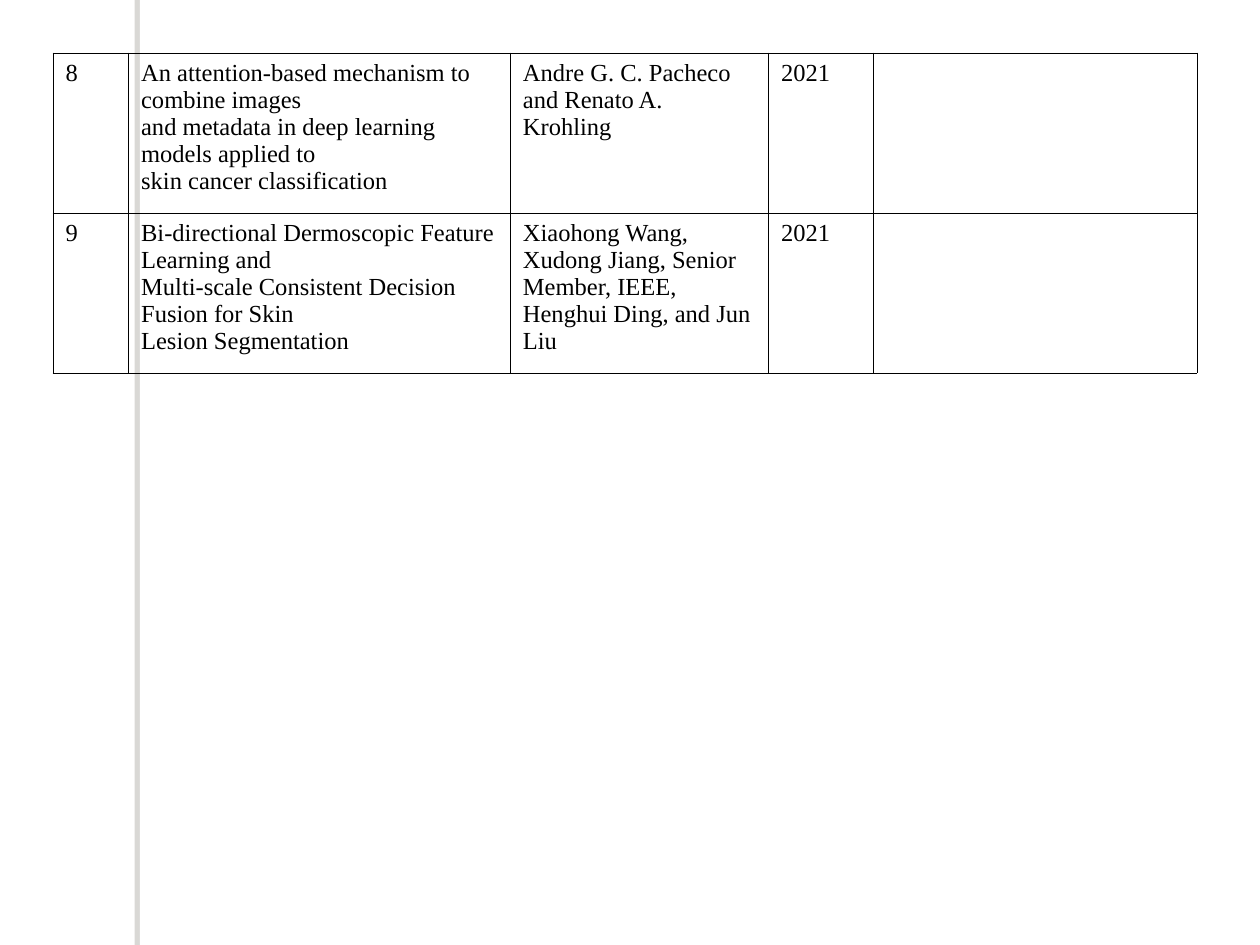
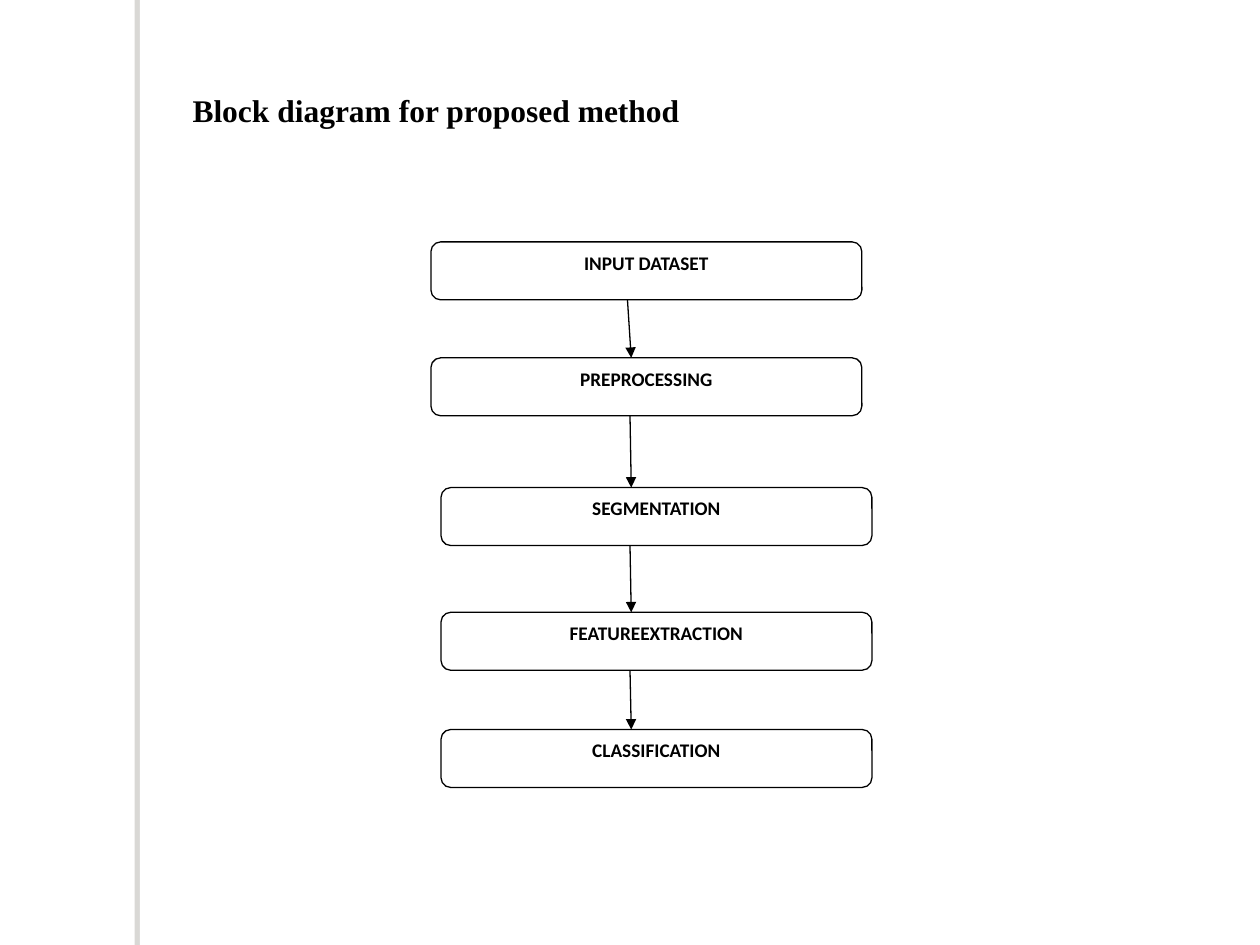
from itertools import pairwise

from lxml import etree
from pptx import Presentation
from pptx.dml.color import RGBColor
from pptx.enum.shapes import MSO_CONNECTOR, MSO_SHAPE
from pptx.enum.text import MSO_ANCHOR, PP_ALIGN
from pptx.oxml.ns import qn
from pptx.util import Pt

RECTANGLE = MSO_SHAPE.RECTANGLE
ROUNDED = MSO_SHAPE.ROUNDED_RECTANGLE
STRAIGHT = MSO_CONNECTOR.STRAIGHT
TOP = MSO_ANCHOR.TOP
CENTER = PP_ALIGN.CENTER

BLACK = RGBColor(0x00, 0x00, 0x00)
WHITE = RGBColor(0xFF, 0xFF, 0xFF)
BAND_SHADOW = RGBColor(0x70, 0x6B, 0x5F)
SERIF, SANS = "Times New Roman", "Calibri"

EMU_PER_PX = 9144  # 100 px to the inch
WIDTH, HEIGHT = 1000, 750


def emu(*lengths):
    return [length * EMU_PER_PX for length in lengths]


def add_xml(parent, tag, **attributes):
    return etree.SubElement(parent, qn(tag), attributes)


class Deck:
    """Holds the shared style and the current slide."""

    def __init__(self):
        self.presentation = Presentation()
        self.presentation.slide_width, self.presentation.slide_height = emu(WIDTH, HEIGHT)
        self.slide = None

    def new_slide(self):
        self.slide = self.presentation.slides.add_slide(self.presentation.slide_layouts[6])
        self.band()

    def set_text(self, text_frame, text, font, size, bold=False):
        text_frame.text = text
        for paragraph in text_frame.paragraphs:
            for run in paragraph.runs:
                run.font.name, run.font.size = font, Pt(size)
                run.font.bold, run.font.color.rgb = bold, BLACK

    def shape(self, kind, left, top, width, height):
        shape = self.slide.shapes.add_shape(kind, *emu(left, top, width, height))
        shape.shadow.inherit = False
        shape.fill.solid()
        shape.fill.fore_color.rgb = WHITE
        return shape

    def band(self):
        """White vertical band whose shadow shows along its left edge."""
        band = self.shape(RECTANGLE, 111, 0, 8, HEIGHT)
        band.line.fill.background()
        effects = band.element.spPr.find(qn("a:effectLst"))
        shadow = add_xml(effects, "a:outerShdw", blurRad="0", dist=str(Pt(3)),
                         dir="10800000", algn="ctr", rotWithShape="0")
        color = add_xml(shadow, "a:srgbClr", val=str(BAND_SHADOW))
        add_xml(color, "a:alpha", val="25000")

    def title(self, text):
        box = self.slide.shapes.add_textbox(*emu(143, 67, 407, 100))
        box.text_frame.word_wrap = False
        self.set_text(box.text_frame, text, SERIF, 18, bold=True)

    def table(self, left, top, column_widths, row_height, rows):
        frame = self.slide.shapes.add_table(
            len(rows), len(column_widths),
            *emu(left, top, sum(column_widths), row_height * len(rows)))
        table = frame.table
        table.first_row = table.horz_banding = False
        for column, width in zip(table.columns, column_widths):
            column.width = width * EMU_PER_PX
        for row, texts in zip(table.rows, rows):
            row.height = row_height * EMU_PER_PX
            for cell, text in zip(row.cells, texts):
                self.cell_borders(cell)
                cell.fill.background()
                if text:
                    self.set_text(cell.text_frame, text, SERIF, 14)

    def cell_borders(self, cell):
        properties = cell._tc.get_or_add_tcPr()
        for side in "LRTB":
            line = add_xml(properties, f"a:ln{side}", w=str(Pt(0.45)))
            add_xml(add_xml(line, "a:solidFill"), "a:srgbClr", val=str(BLACK))

    def block(self, text, left, top, width, height):
        block = self.shape(ROUNDED, left, top, width, height)
        block.adjustments[0] = 0.167
        block.line.color.rgb, block.line.width = BLACK, Pt(0.75)
        frame = block.text_frame
        frame.word_wrap, frame.vertical_anchor = True, TOP
        self.set_text(frame, text, SANS, 11, bold=True)
        frame.paragraphs[0].alignment = CENTER
        frame.paragraphs[0].space_after = Pt(10)

    def arrow(self, start_x, start_y, end_x, end_y):
        arrow = self.slide.shapes.add_connector(STRAIGHT, *emu(start_x, start_y, end_x, end_y))
        arrow.line.color.rgb, arrow.line.width = BLACK, Pt(0.75)
        properties = arrow.element.spPr
        add_xml(properties.find(qn("a:ln")), "a:tailEnd", type="triangle")
        add_xml(properties, "a:effectLst")


PAPERS = [
    ("8",
     "An attention-based mechanism to combine images\n"
     "and metadata in deep learning models applied to\n"
     "skin cancer classification",
     "Andre G. C. Pacheco and Renato A. Krohling", "2021", ""),
    ("9",
     "Bi-directional Dermoscopic Feature Learning and\n"
     "Multi-scale Consistent Decision Fusion for Skin\n"
     "Lesion Segmentation",
     "Xiaohong Wang, Xudong Jiang, Senior Member, IEEE, Henghui Ding, and Jun Liu",
     "2021", ""),
]

# Text, left and top of each step
STEPS = [
    ("INPUT DATASET", 342, 192),
    ("PREPROCESSING", 342, 284),
    ("SEGMENTATION", 350, 387),
    ("FEATUREEXTRACTION", 350, 486),
    ("CLASSIFICATION", 350, 579),
]
STEP_WIDTH, STEP_HEIGHT = 342, 46
ARROW_STARTS = [498, 500, 500, 500]
ARROW_END = 501


def main():
    deck = Deck()

    # Literature table
    deck.new_slide()
    deck.table(42, 42, [60, 303, 205, 83, 257], 127, PAPERS)

    # Block diagram
    deck.new_slide()
    deck.title("Block diagram for proposed method")
    for text, left, top in STEPS:
        deck.block(text, left, top, STEP_WIDTH, STEP_HEIGHT)
    tops = [top for _, _, top in STEPS]
    for start_x, (upper, lower) in zip(ARROW_STARTS, pairwise(tops)):
        deck.arrow(start_x, upper + STEP_HEIGHT, ARROW_END, lower)

    deck.presentation.save("out.pptx")


if __name__ == "__main__":
    main()
